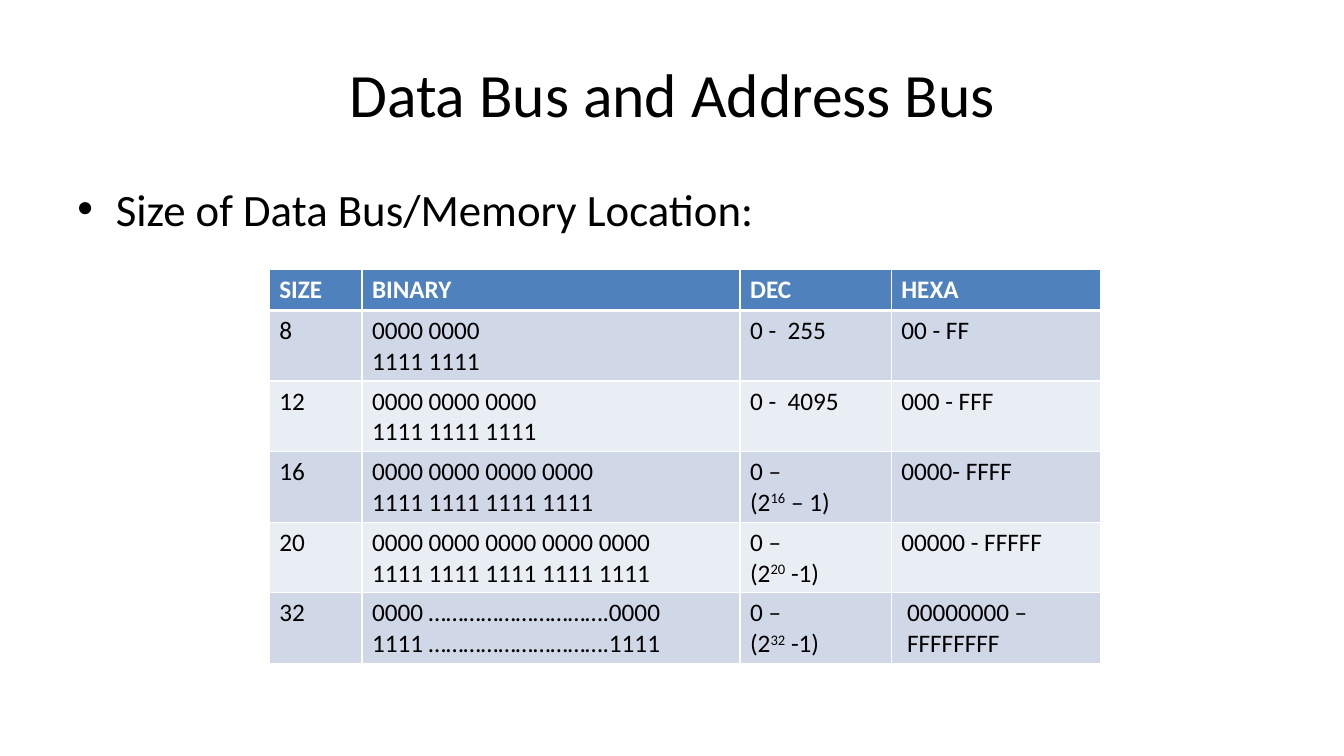
from dataclasses import dataclass

from lxml.etree import SubElement
from pptx import Presentation
from pptx.dml.color import RGBColor
from pptx.enum.text import MSO_ANCHOR, PP_ALIGN
from pptx.oxml.ns import qn
from pptx.util import Inches, Pt


@dataclass(frozen=True)
class Theme:
    font: str = "Calibri"
    text: str = "000000"
    white: str = "FFFFFF"
    header: str = "4F81BD"
    bands: tuple = ("D0D8E8", "E9EDF4")
    title_size: int = 44
    bullet_size: int = 32
    table_size: int = 18


theme = Theme()


def style(paragraph, size, color, bold=False):
    font = paragraph.font
    font.name, font.size, font.bold = theme.font, Pt(size), bold
    font.color.rgb = RGBColor.from_string(color)


def add_border(cell, side, width):
    properties = cell._tc.get_or_add_tcPr()
    line = SubElement(properties, qn(f"a:ln{side}"), w=str(Pt(width)))
    fill = SubElement(line, qn("a:solidFill"))
    SubElement(fill, qn("a:srgbClr"), val=theme.white)


prs = Presentation()
prs.slide_width, prs.slide_height = Inches(13.33), Inches(7.5)
slide = prs.slides.add_slide(prs.slide_layouts[5])

# Title
title = slide.shapes.title
title.left, title.top = Inches(0.67), Inches(0.3)
title.width, title.height = Inches(12), Inches(1.25)
title.text_frame.text = "Data Bus and Address Bus"
title.text_frame.vertical_anchor = MSO_ANCHOR.MIDDLE
heading = title.text_frame.paragraphs[0]
heading.alignment = PP_ALIGN.CENTER
style(heading, theme.title_size, theme.text)

# Bullet above the table
body = slide.shapes.add_textbox(Inches(0.67), Inches(1.75), Inches(12), Inches(4.95))
body.text_frame.word_wrap = True
bullet = body.text_frame.paragraphs[0]
bullet.text = "Size of Data Bus/Memory Location:"
style(bullet, theme.bullet_size, theme.text)
bullet_format = bullet._p.get_or_add_pPr()
bullet_format.set("marL", str(Inches(0.38)))
bullet_format.set("indent", str(Inches(-0.38)))
bullet_font = bullet_format.makeelement(qn("a:buFont"), {"typeface": "Arial"})
bullet_mark = bullet_format.makeelement(qn("a:buChar"), {"char": "•"})
bullet_format.insert(0, bullet_font)
bullet_format.insert(1, bullet_mark)

# Ranges for each bus size: a line break starts a paragraph, ^…^ is superscript
bus_sizes = [
    ("SIZE", "BINARY", "DEC", "HEXA"),
    ("8", "0000 0000\n1111 1111", "0 -  255", "00 - FF"),
    ("12", "0000 0000 0000\n1111 1111 1111", "0 -  4095", "000 - FFF"),
    ("16", "0000 0000 0000 0000\n1111 1111 1111 1111", "0 –\n(2^16^ – 1)", "0000- FFFF"),
    ("20", "0000 0000 0000 0000 0000\n1111 1111 1111 1111 1111",
     "0 –\n(2^20^ -1)", "00000 - FFFFF"),
    ("32", "0000 ………………………….0000\n1111 ………………………….1111",
     "0 –\n(2^32^ -1)", " 00000000 –\n FFFFFFFF"),
]
column_widths = (0.92, 3.75, 1.5, 2.08)

# Table
table = slide.shapes.add_table(len(bus_sizes), len(column_widths), Inches(2.67),
                               Inches(2.67), Inches(8.25), Inches(3.91)).table
for column, width in zip(table.columns, column_widths):
    column.width = Inches(width)

for r, values in enumerate(bus_sizes):
    is_header = r == 0
    table.rows[r].height = Inches(0.41 if is_header else 0.7)
    band = theme.header if is_header else theme.bands[(r - 1) % 2]
    color = theme.white if is_header else theme.text
    for c, value in enumerate(values):
        cell = table.cell(r, c)
        for side in "LRTB":
            header_rule = (r, side) in ((0, "B"), (1, "T"))
            add_border(cell, side, 3 if header_rule else 1)
        cell.fill.solid()
        cell.fill.fore_color.rgb = RGBColor.from_string(band)
        for i, line in enumerate(value.split("\n")):
            frame = cell.text_frame
            paragraph = frame.add_paragraph() if i else frame.paragraphs[0]
            style(paragraph, theme.table_size, color, bold=is_header)
            for part, piece in enumerate(line.split("^")):
                run = paragraph.add_run()
                run.text = piece
                if part % 2:
                    run._r.get_or_add_rPr().set("baseline", "30000")

prs.save("out.pptx")
